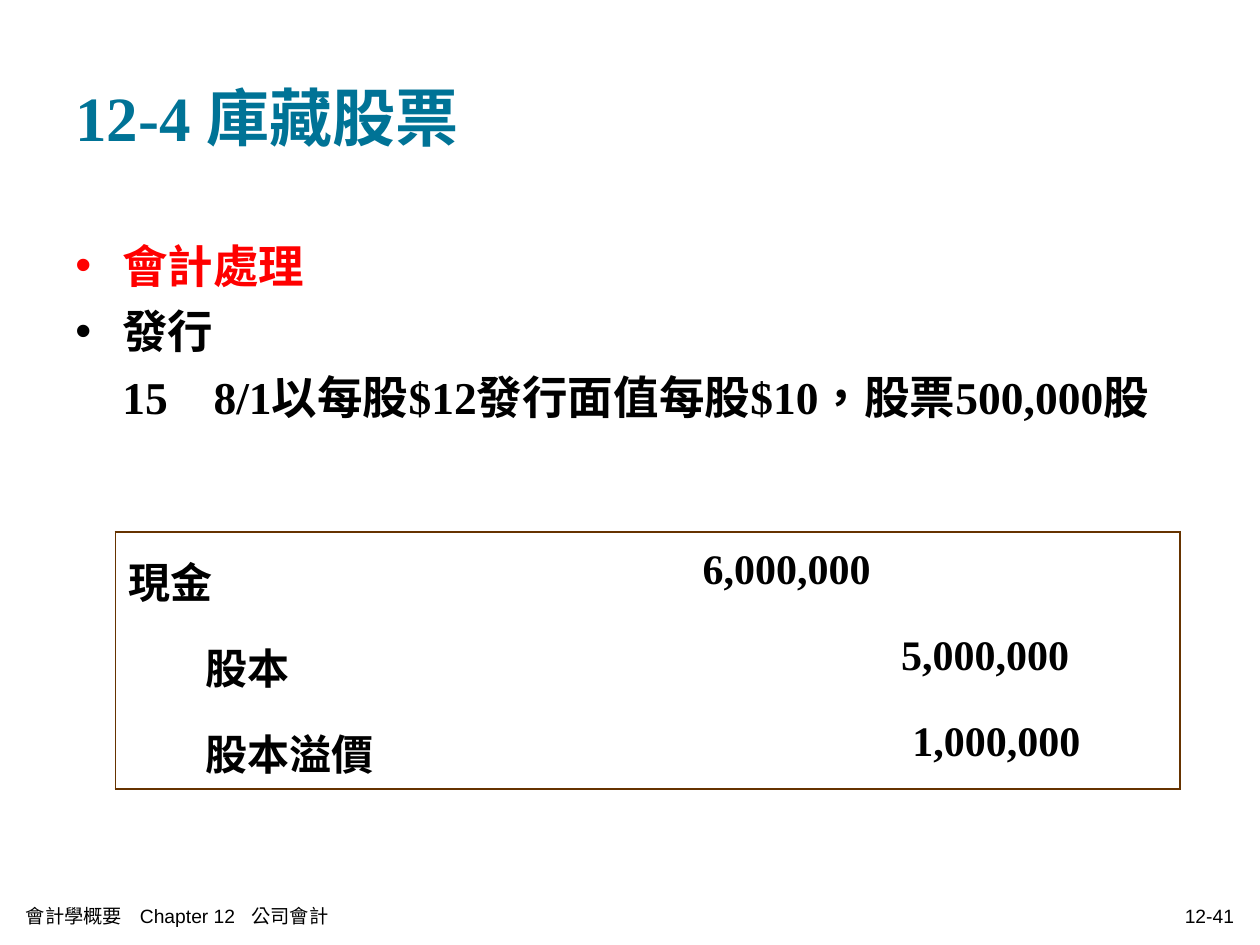
from dataclasses import dataclass

from lxml.etree import SubElement
from pptx import Presentation
from pptx.dml.color import RGBColor
from pptx.enum.lang import MSO_LANGUAGE_ID
from pptx.enum.text import MSO_ANCHOR, PP_ALIGN
from pptx.oxml.ns import qn
from pptx.util import Cm, Pt


@dataclass(frozen=True)
class Theme:
    teal: str = "007396"
    red: str = "FF0000"
    black: str = "000000"
    brown: str = "663300"
    title: float = 36
    body: float = 26
    entry: float = 24
    footer: float = 11
    serif: str = "Times New Roman"
    sans: str = "Arial"


theme = Theme()


def write(para, text, size, color, name=theme.serif, bold=True):
    span = para.add_run()
    span.text = text
    formats = {
        "size": Pt(size),
        "name": name,
        "bold": bold,
        "language_id": MSO_LANGUAGE_ID.TRADITIONAL_CHINESE,
    }
    for key, value in formats.items():
        setattr(span.font, key, value)
    span.font.color.rgb = RGBColor.from_string(color)


def add_box(page, left, top, width, height, **formats):
    box = page.shapes.add_textbox(Cm(left), Cm(top), Cm(width), Cm(height))
    formats = {"word_wrap": True, **formats}
    for key, value in formats.items():
        setattr(box.text_frame, key, value)
    return box.text_frame


deck = Presentation()
deck.slide_width, deck.slide_height = Cm(25.4), Cm(19.05)
page = deck.slides.add_slide(deck.slide_layouts[6])

# Title
frame = add_box(page, 1.27, 0.76, 22.86, 3.18, vertical_anchor=MSO_ANCHOR.MIDDLE)
write(frame.paragraphs[0], "12-4 庫藏股票", theme.title, theme.teal)

# Bullets, then the transaction aligned under their text
frame = add_box(page, 1.27, 4.45, 22.86, 12.57)
points = [
    ("會計處理", theme.red, True),
    ("發行", theme.black, True),
    ("15　8/1以每股$12發行面值每股$10，股票500,000股", theme.black, False),
]
for index, (text, color, bulleted) in enumerate(points):
    para = frame.add_paragraph() if index else frame.paragraphs[0]
    para.line_spacing = 1.2
    properties = para._p.get_or_add_pPr()
    properties.set("marL", str(Cm(0.95)))
    properties.set("indent", str(Cm(-0.95) if bulleted else 0))
    if bulleted:
        bullet_color = SubElement(properties, qn("a:buClr"))
        SubElement(bullet_color, qn("a:srgbClr"), val=color)
        SubElement(properties, qn("a:buFont"), typeface=theme.sans)
        SubElement(properties, qn("a:buChar"), char="•")
    write(para, text, theme.body, color)

# Journal entry: each cell holds its text and indent
entries = [
    [("現金", 0), ("6,000,000", 0)],
    [("股本", 1.55), ("5,000,000", 4)],
    [("股本溢價", 1.55), ("1,000,000", 4.23)],
]
widths = [11.58, 9.88]
row_height = 1.73
table = page.shapes.add_table(
    len(entries), len(widths), Cm(2.33), Cm(10.72),
    Cm(sum(widths)), Cm(row_height * len(entries)),
).table
table.first_row = table.horz_banding = False
for column, width in zip(table.columns, widths):
    column.width = Cm(width)
for row_index, entry in enumerate(entries):
    table.rows[row_index].height = Cm(row_height)
    for column_index, (text, indent) in enumerate(entry):
        cell = table.cell(row_index, column_index)
        para = cell.text_frame.paragraphs[0]
        para.line_spacing = 1.2
        para._p.get_or_add_pPr().set("marL", str(Cm(indent)))
        write(para, text, theme.entry, theme.black)

        # Only the outer edges are drawn
        edges = {
            "a:lnL": column_index == 0,
            "a:lnR": column_index == len(widths) - 1,
            "a:lnT": row_index == 0,
            "a:lnB": row_index == len(entries) - 1,
        }
        cell_properties = cell._tc.get_or_add_tcPr()
        for tag, outer in edges.items():
            line = SubElement(cell_properties, qn(tag), w=str(Pt(1.08)))
            fill = SubElement(line, qn("a:solidFill" if outer else "a:noFill"))
            if outer:
                SubElement(fill, qn("a:srgbClr"), val=theme.brown)
        cell.fill.background()

# Footer with tab stops, and page number
footers = [
    (0.27, 12.95, "會計學概要\tChapter 12\t公司會計", PP_ALIGN.LEFT, [2.3, 4.55]),
    (17.18, 7.95, "12-41", PP_ALIGN.RIGHT, []),
]
for left, width, text, alignment, stops in footers:
    frame = add_box(page, left, 18.04, width, 0.84, vertical_anchor=MSO_ANCHOR.MIDDLE)
    para = frame.paragraphs[0]
    para.alignment = alignment
    if stops:
        tabs = SubElement(para._p.get_or_add_pPr(), qn("a:tabLst"))
        for stop in stops:
            SubElement(tabs, qn("a:tab"), pos=str(Cm(stop)), algn="l")
    write(para, text, theme.footer, theme.black, theme.sans, False)

deck.save("out.pptx")
